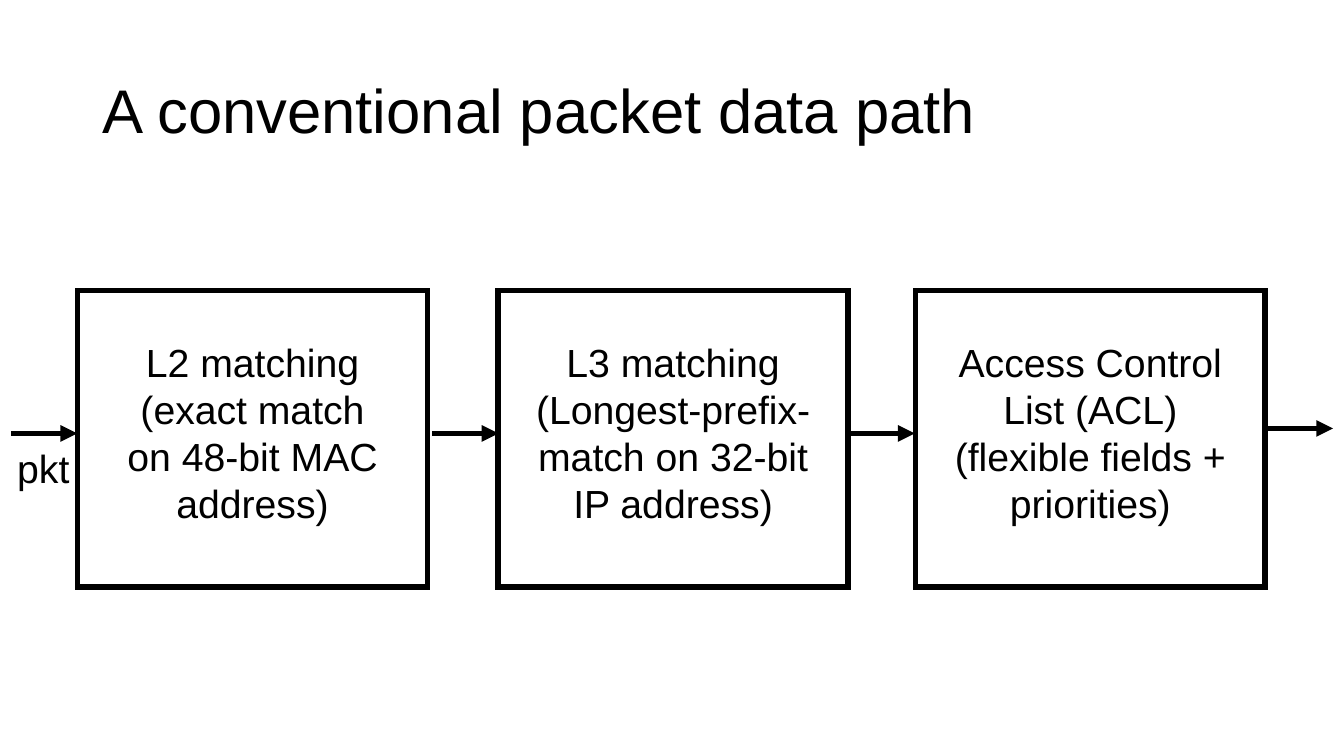
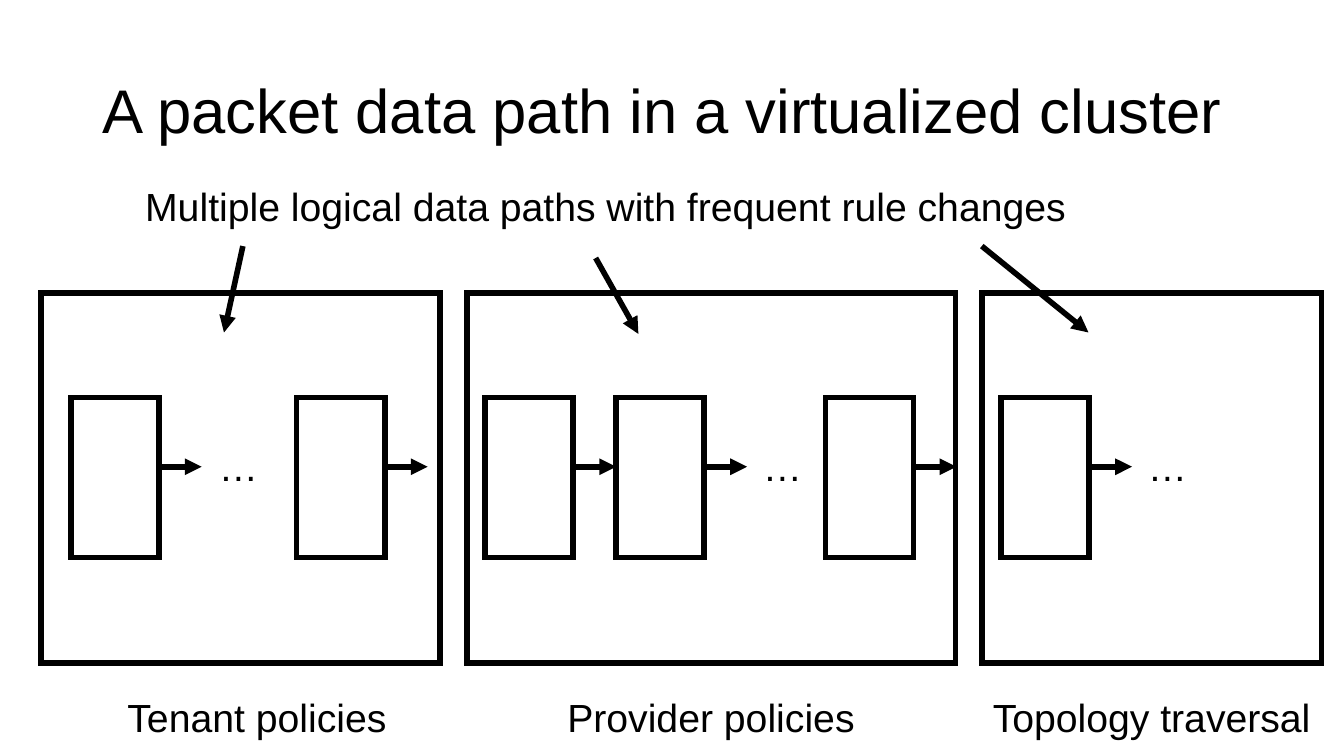
from pptx import Presentation
from pptx.dml.color import RGBColor
from pptx.enum.shapes import MSO_CONNECTOR, MSO_SHAPE
from pptx.enum.text import MSO_ANCHOR, PP_ALIGN
from pptx.oxml.ns import qn
from pptx.util import Pt
from lxml.etree import SubElement

HUES = {"ink": "000000", "paper": "FFFFFF"}
FONT = "Arial"
TITLE, BODY, LINE = 44, 28, 4


def hue(name):
    """Return a named colour."""
    return RGBColor.from_string(HUES[name])


def write(frame, lines, size=BODY, align=PP_ALIGN.LEFT):
    """Fill a text frame with one paragraph per line."""
    frame.word_wrap = True
    for i, line in enumerate(lines):
        para = frame.add_paragraph() if i else frame.paragraphs[0]
        para.alignment = align
        run = para.add_run()
        run.text = line
        run.font.name = FONT
        run.font.size = Pt(size)
        run.font.color.rgb = hue("ink")


def pad(frame, left, top, right, bottom):
    """Set the inner margins of a text frame."""
    frame.margin_left, frame.margin_top = Pt(left), Pt(top)
    frame.margin_right, frame.margin_bottom = Pt(right), Pt(bottom)


def start(deck, text):
    """Add a slide with its title."""
    slide = deck.slides.add_slide(deck.slide_layouts[5])
    slide.background.fill.solid()
    slide.background.fill.fore_color.rgb = hue("paper")
    title = slide.shapes.title
    title.left, title.top = Pt(66), Pt(29)
    title.width, title.height = Pt(828), Pt(104.5)
    frame = title.text_frame
    frame.vertical_anchor = MSO_ANCHOR.MIDDLE
    write(frame, [text], TITLE)
    frame.paragraphs[0].line_spacing = 0.9
    return slide


def ink(line):
    """Style a line with sharp corners and return its XML."""
    line.color.rgb = hue("ink")
    line.width = Pt(LINE)
    node = line._get_or_add_ln()
    SubElement(node, qn("a:miter"), lim="800000")
    return node


def box(slide, x, y, w, h):
    """Draw an outlined rectangle."""
    rect = slide.shapes.add_shape(MSO_SHAPE.RECTANGLE, Pt(x), Pt(y), Pt(w), Pt(h))
    rect.shadow.inherit = False
    rect.fill.background()
    ink(rect.line)
    return rect


def label(slide, text, x, y, w, align=PP_ALIGN.LEFT):
    """Place a single line of text."""
    frame = slide.shapes.add_textbox(Pt(x), Pt(y), Pt(w), Pt(34)).text_frame
    pad(frame, 0, 0, 0, 0)
    write(frame, [text], align=align)


def arrow(slide, x1, y1, x2, y2):
    """Draw a straight line with a triangle at its end."""
    link = slide.shapes.add_connector(
        MSO_CONNECTOR.STRAIGHT, Pt(x1), Pt(y1), Pt(x2), Pt(y2))
    SubElement(ink(link.line), qn("a:tailEnd"), type="triangle")
    SubElement(link._element.spPr, qn("a:effectLst"))


def stage(slide, x):
    """Draw a small pipeline box and its outgoing arrow."""
    y, w = 283.8, 63
    box(slide, x, y, w, 114.5)
    arrow(slide, x + w, 333.4, x + w + 30.6, 333.4)


def plain(deck):
    """Build the conventional data path slide."""
    slide = start(deck, "A conventional packet data path")
    steps = [
        (55.5, ["L2 matching", "(exact match on 48-bit MAC address)"]),
        (355.9, ["L3 matching", "(Longest-prefix-match on 32-bit IP address)"]),
        (653.9, ["Access Control List (ACL)", "(flexible fields + priorities)"]),
    ]
    for x, lines in steps:
        rect = box(slide, x, 207.5, 249.8, 211.7)
        frame = rect.text_frame
        frame.vertical_anchor = MSO_ANCHOR.MIDDLE
        pad(frame, 26.5, 0, 26.5, 9.5)
        write(frame, lines, align=PP_ALIGN.CENTER)
    for x, y in ((8, 309.6), (308.9, 309.6), (606.2, 309.6), (905, 306)):
        arrow(slide, x, y, x + 47.2, y)
    label(slide, "pkt", 12.3, 317.5, 46)


def cluster(deck):
    """Build the virtualized cluster slide."""
    slide = start(deck, "A packet data path in a virtualized cluster")
    parts = [
        (29.5, 285, "Tenant policies", 79, 209),
        (333.4, 349.2, "Provider policies", 386.5, 242.5),
        (701.3, 242.6, "Topology traversal", 701.3, 242.6),
    ]
    for x, w, text, left, wide in parts:
        box(slide, x, 209.4, w, 264.3)
        label(slide, text, left, 495.5, wide, PP_ALIGN.CENTER)
    for x in (50.5, 211.9, 346.5, 440, 589.6, 715):
        stage(slide, x)
    for x in (156.3, 545, 820):
        label(slide, "…", x, 316.2, 53)
    label(slide, "Multiple logical data paths with frequent rule changes",
          103.7, 130, 782)
    for ends in ((173.5, 175.8, 160, 237.5), (425.5, 184.3, 456, 238.5),
                 (701.3, 175.8, 777.5, 237.5)):
        arrow(slide, *ends)


def main():
    """Build and save the deck."""
    deck = Presentation()
    deck.slide_width, deck.slide_height = Pt(960), Pt(540)
    plain(deck)
    cluster(deck)
    deck.save("out.pptx")


if __name__ == "__main__":
    main()
